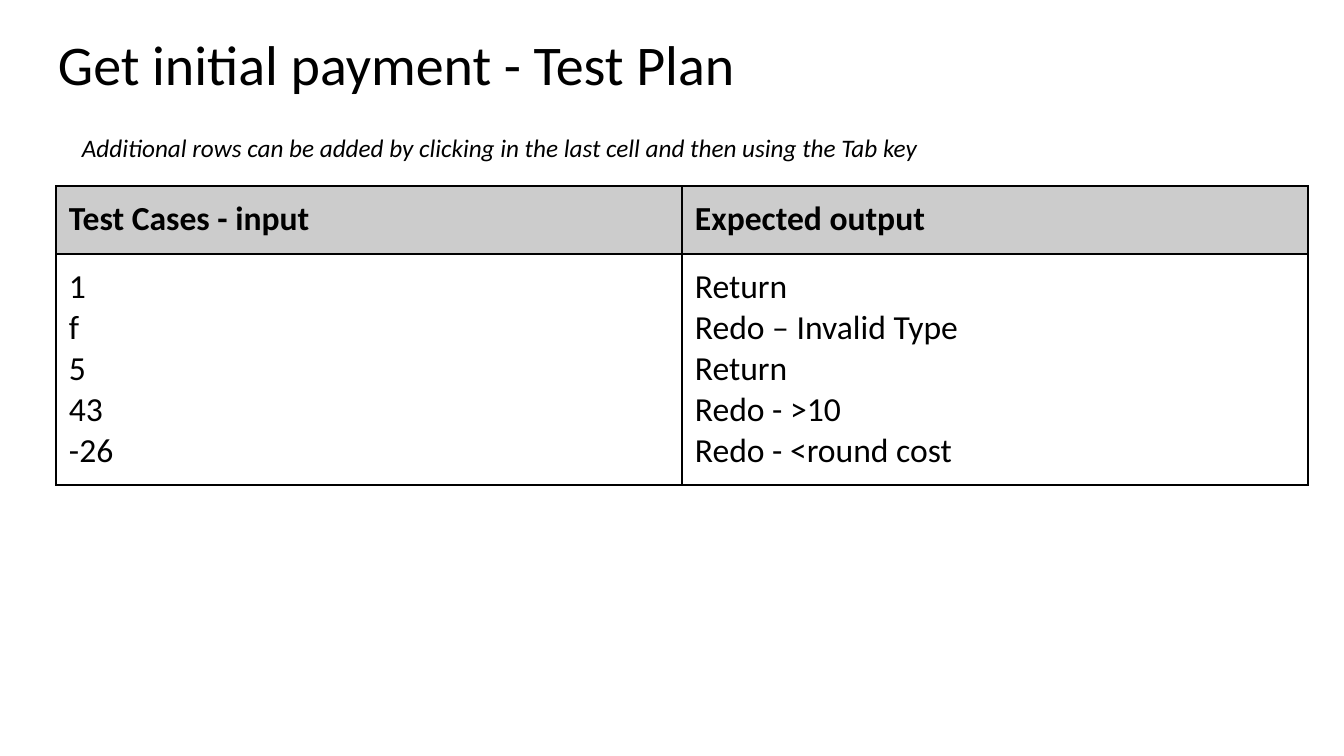
from lxml.etree import SubElement
from pptx import Presentation
from pptx.dml.color import RGBColor
from pptx.enum.text import MSO_ANCHOR
from pptx.oxml.ns import qn
from pptx.util import Pt

PIXEL = 914400 / 100.8
BLACK = RGBColor(0x00, 0x00, 0x00)
HEADER_GREY = RGBColor(0xCC, 0xCC, 0xCC)
FONT_NAME = "Calibri"
CELL_INSET = 13

# A vertical tab breaks the line within a paragraph.
TEST_PLAN = [
    ["Test Cases - input", "Expected output"],
    [
        "1\vf\v5\v43\v-26",
        "Return\nRedo – Invalid Type\nReturn\nRedo - >10\vRedo - <round cost",
    ],
]


def px(pixels):
    """Turn pixels into EMU."""
    return round(pixels * PIXEL)


def style_text(text_frame, size, bold=False, italic=False):
    """Set the font of every paragraph."""
    for paragraph in text_frame.paragraphs:
        font = paragraph.font
        font.name, font.size = FONT_NAME, Pt(size)
        font.bold, font.italic = bold, italic
        font.color.rgb = BLACK


def set_margins(target, inset):
    """Give a text frame or cell the same margin on all sides."""
    target.margin_left = target.margin_right = px(inset)
    target.margin_top = target.margin_bottom = px(inset)


def add_text(slide, box, text, size, italic=False):
    """Place a wrapped text box and return its text frame."""
    text_frame = slide.shapes.add_textbox(*map(px, box)).text_frame
    text_frame.word_wrap = True
    text_frame.text = text
    style_text(text_frame, size, italic=italic)
    return text_frame


def add_title(slide, box, text):
    """Place the slide title."""
    text_frame = add_text(slide, box, text, 40)
    set_margins(text_frame, CELL_INSET)
    text_frame.paragraphs[0].line_spacing = 0.9


def set_borders(cell):
    """Draw a thin black line on each side, ahead of the fill in the XML."""
    properties = cell._tc.get_or_add_tcPr()
    for position, side in enumerate(("lnL", "lnR", "lnT", "lnB")):
        line = SubElement(properties, qn(f"a:{side}"), w=str(Pt(1)))
        fill = SubElement(line, qn("a:solidFill"))
        SubElement(fill, qn("a:srgbClr"), val=str(BLACK))
        properties.insert(position, line)


def add_test_table(slide, box, rows, header_height):
    """Place the test plan with equal columns and a grey header row."""
    left, top, width, height = box
    column_count = len(rows[0])
    table = slide.shapes.add_table(
        len(rows), column_count, *map(px, box)
    ).table
    table.horz_banding = False
    for column in table.columns:
        column.width = px(width / column_count)
    body_height = (height - header_height) / (len(rows) - 1)
    for row_index, texts in enumerate(rows):
        is_header = row_index == 0
        table.rows[row_index].height = px(header_height if is_header else body_height)
        for cell, text in zip(table.rows[row_index].cells, texts):
            cell.text_frame.text = text
            style_text(cell.text_frame, 24, bold=is_header)
            set_margins(cell, CELL_INSET)
            cell.vertical_anchor = MSO_ANCHOR.TOP
            if is_header:
                cell.fill.solid()
                cell.fill.fore_color.rgb = HEADER_GREY
            else:
                cell.fill.background()
            set_borders(cell)


def build_test_plan(slide):
    """Lay out the title, the table and the hint above it."""
    add_title(slide, (45, 24, 1252, 85), "Get initial payment - Test Plan")
    add_test_table(slide, (56, 186, 1252, 299), TEST_PLAN, header_height=68)
    add_text(
        slide,
        (72, 127, 1103, 40),
        "Additional rows can be added by clicking in the last cell "
        "and then using the Tab key ",
        18,
        italic=True,
    )


presentation = Presentation()
presentation.slide_width, presentation.slide_height = px(1344), px(756)
build_test_plan(presentation.slides.add_slide(presentation.slide_layouts[6]))
presentation.save("out.pptx")
